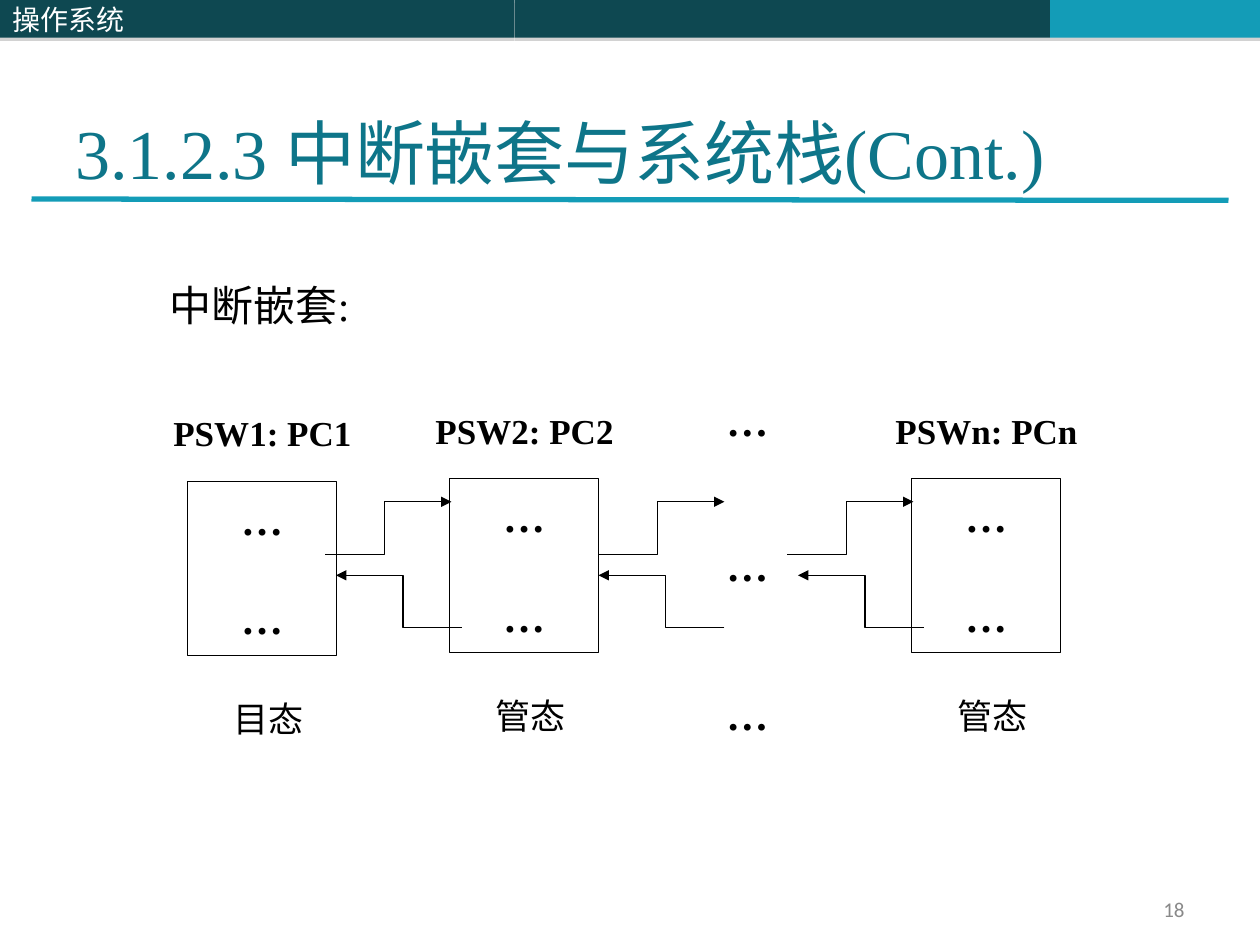
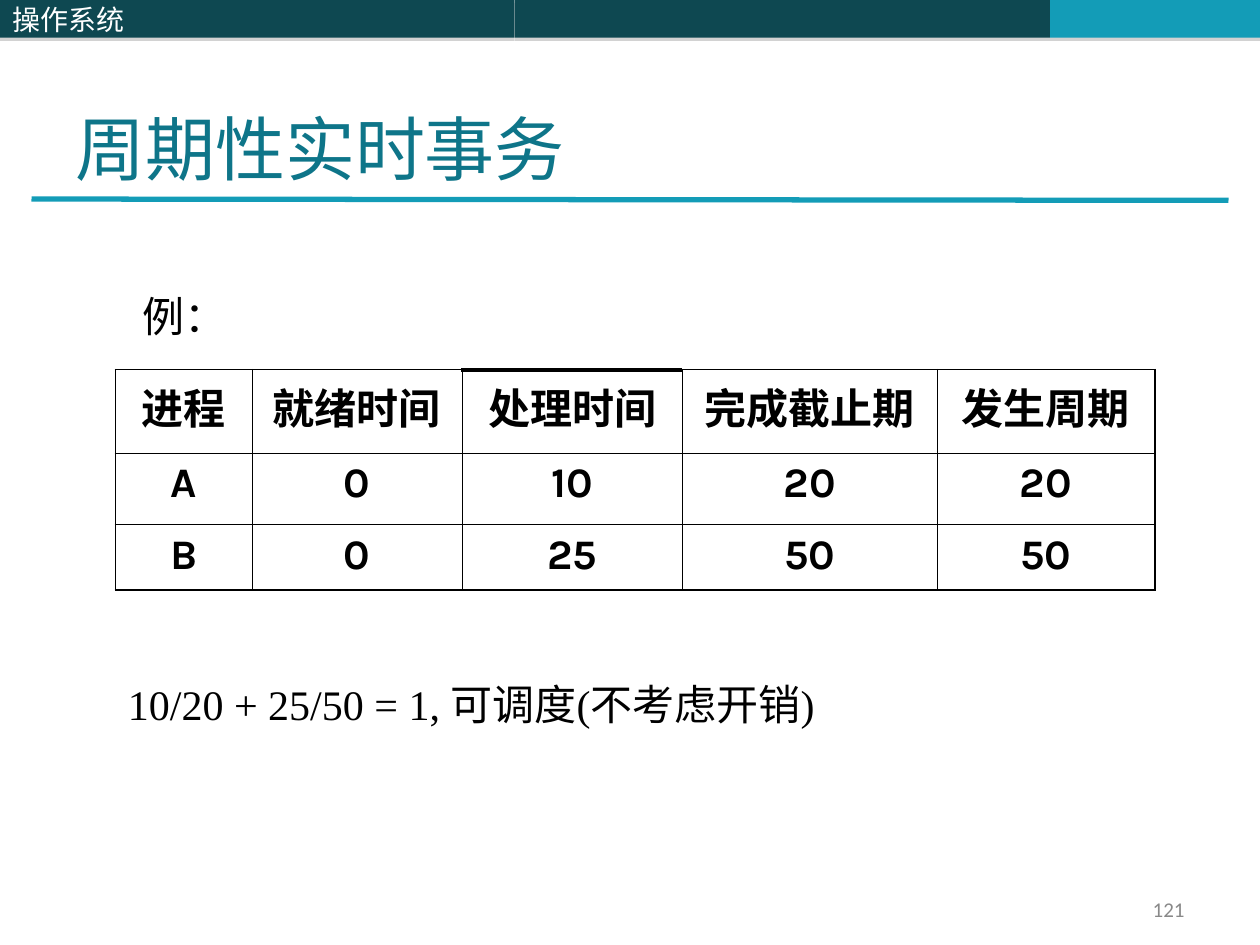
from dataclasses import dataclass

from lxml import etree
from pptx import Presentation
from pptx.dml.color import RGBColor
from pptx.enum import shapes, text
from pptx.oxml import ns
from pptx.util import Pt

LEFT, CENTER, RIGHT = text.PP_ALIGN.LEFT, text.PP_ALIGN.CENTER, text.PP_ALIGN.RIGHT
TOP, MIDDLE, BOTTOM = text.MSO_ANCHOR.TOP, text.MSO_ANCHOR.MIDDLE, text.MSO_ANCHOR.BOTTOM


@dataclass(frozen=True)
class Theme:
    dark: str = "0E4851"
    accent: str = "139CB7"
    heading: str = "0E7589"
    ink: str = "000000"
    paper: str = "FFFFFF"
    muted: str = "898989"
    shade: str = "808080"
    serif: str = "Times New Roman"
    sans: str = "Karla"
    footer_font: str = "Calibri"
    chinese: str = "Noto Sans CJK SC"
    title_size: int = 40
    body_size: int = 24
    label_size: int = 20
    band_size: int = 16
    footer_size: int = 12
    thin: float = 0.75
    grid: float = 0.45
    frame: float = 1.08


def points(*lengths):
    return [Pt(length) for length in lengths]


def add_xml(parent, tag, **attributes):
    return etree.SubElement(parent, ns.qn(tag), {key: str(value) for key, value in attributes.items()})


class SlideBuilder:
    def __init__(self, theme):
        self.theme = theme
        self.deck = Presentation()
        self.deck.slide_width, self.deck.slide_height = points(720, 540)
        self.page = None

    def new_page(self, title, number, title_area):
        theme = self.theme
        self.page = self.deck.slides.add_slide(self.deck.slide_layouts[6])
        self.band(294, 306, theme.dark)
        self.band(600, 120, theme.accent)
        self.line((18, 113.75), (702, 114.5), theme.accent, 3)
        course = self.band(0, 294, theme.dark)
        self.fill_text(course.text_frame, ["操作系统"], theme.band_size, theme.chinese, theme.paper, anchor=MIDDLE)
        self.label(number, (516, 510, 168, 19.5), theme.footer_size, font=theme.footer_font,
                   color=theme.muted, align=RIGHT, anchor=MIDDLE)
        self.label(title, title_area, theme.title_size, color=theme.heading, anchor=BOTTOM)

    def style(self, para, size, font=None, color=None, bold=False, align=LEFT):
        """Format a paragraph; Chinese text also gets its East Asian font."""
        para.alignment = align
        para.font.size, para.font.bold = Pt(size), bold
        para.font.name = font or self.theme.serif
        para.font.color.rgb = RGBColor.from_string(color or self.theme.ink)
        if max(para.text) > "…":
            for span in para.runs:
                add_xml(span.font._element, "a:ea", typeface=self.theme.chinese)

    def fill_text(self, frame, lines, size, font=None, color=None, bold=False,
                  align=LEFT, anchor=TOP, gap=0, wrap=True):
        frame.word_wrap, frame.vertical_anchor = wrap, anchor
        for index, line in enumerate(lines):
            para = frame.add_paragraph() if index else frame.paragraphs[0]
            para.text = line
            if index:
                para.space_before = Pt(gap)
            self.style(para, size, font, color, bold, align)

    def label(self, words, area, size, **options):
        box = self.page.shapes.add_textbox(*points(*area))
        self.fill_text(box.text_frame, [words], size, **options)

    def rectangle(self, area, fill, outline=None):
        box = self.page.shapes.add_shape(shapes.MSO_SHAPE.RECTANGLE, *points(*area))
        box.shadow.inherit = False
        box.fill.solid()
        box.fill.fore_color.rgb = RGBColor.from_string(fill)
        if outline:
            self.stroke(box.line, outline, self.theme.thin)
        else:
            box.line.fill.background()
        return box

    def band(self, left, width, fill):
        """Part of the top bar, with a faint shadow below it."""
        box = self.rectangle((left, 0, width, 21.6), fill)
        effects = box._element.spPr.find(ns.qn("a:effectLst"))
        shadow = add_xml(effects, "a:outerShdw", dist=Pt(1.8), dir=90 * 60000, rotWithShape=0)
        tint = add_xml(shadow, "a:srgbClr", val=self.theme.shade)
        add_xml(tint, "a:alpha", val=35000)
        return box

    def stroke(self, line, color, width):
        line.color.rgb = RGBColor.from_string(color)
        line.width = Pt(width)

    def line(self, start, end, color, width):
        connector = self.page.shapes.add_connector(shapes.MSO_CONNECTOR.STRAIGHT, *points(*start, *end))
        self.stroke(connector.line, color, width)
        add_xml(connector._element.spPr, "a:effectLst")

    def step_arrow(self, x, y, direction):
        """Stepped arrow that rises 30 points; direction is 1 for right, -1 for left."""
        corner, tip = x + 33.6 * direction, x + 72 * direction
        outline = self.page.shapes.build_freeform(*points(x, y), scale=1.0)
        outline.add_line_segments([points(corner, y), points(corner, y - 30), points(tip, y - 30)], close=False)
        arrow = outline.convert_to_shape()
        arrow.shadow.inherit = False
        arrow.fill.background()
        self.stroke(arrow.line, self.theme.ink, self.theme.thin)
        add_xml(arrow.line._ln, "a:tailEnd", type="triangle")

    def table(self, left, top, widths, heights, rows):
        table = self.page.shapes.add_table(
            len(rows), len(widths), *points(left, top, sum(widths), sum(heights))).table
        table.first_row = table.horz_banding = False
        for column, width in zip(table.columns, widths):
            column.width = Pt(width)
        for row, height in zip(table.rows, heights):
            row.height = Pt(height)
        for r, row in enumerate(rows):
            for c, value in enumerate(row):
                cell = table.cell(r, c)
                self.fill_text(cell.text_frame, [value], self.theme.body_size,
                               self.theme.sans, bold=True, align=CENTER)
                outer = {"L": c == 0, "R": c == len(row) - 1, "T": r == 0, "B": r == len(rows) - 1}
                self.cell_borders(cell, outer)
                cell.fill.background()

    def cell_borders(self, cell, outer):
        properties = cell._tc.get_or_add_tcPr()
        for side, is_outer in outer.items():
            width = self.theme.frame if is_outer else self.theme.grid
            edge = add_xml(properties, f"a:ln{side}", w=Pt(width))
            add_xml(add_xml(edge, "a:solidFill"), "a:srgbClr", val=self.theme.ink)


def interrupt_nesting(builder):
    theme = builder.theme
    builder.new_page("3.1.2.3 中断嵌套与系统栈(Cont.)", "18", (36, 42, 631.5, 72))
    programs = [
        (107.25, 275, "PSW1: PC1", "目态"),
        (257, 273.5, "PSW2: PC2", "管态"),
        (521, 273.5, "PSWn: PCn", "管态"),
    ]
    for left, top, status, mode in programs:
        box = builder.rectangle((left, top, 85, 99.5), theme.paper, theme.ink)
        builder.fill_text(box.text_frame, ["…", "…"], theme.body_size, bold=True,
                          align=CENTER, anchor=MIDDLE, gap=28, wrap=False)
        builder.label(mode, (left + 13, top + 120, 66, 31.5), theme.label_size, align=CENTER)
        builder.label(status, (left - 17.25, top - 43.25, 120, 31.5), theme.label_size, bold=True, align=CENTER)
    for call_x, return_x in [(186, 264), (342, 414), (450, 528)]:
        builder.step_arrow(call_x, 316.75, 1)
        builder.step_arrow(return_x, 358.75, -1)
    for top in (222, 304.5, 390):
        builder.label("…", (408, top, 48, 36), theme.body_size, bold=True)
    builder.label("中断嵌套:", (90, 156, 426, 36), theme.body_size)


def periodic_tasks(builder):
    theme = builder.theme
    builder.new_page("周期性实时事务", "121", (36, 21.6, 648, 90))
    widths = [78, 120, 126, 145.5, 124.5]
    left, top = 66, 211.25
    builder.table(left, top, widths, [47.75, 40.75, 37.5], [
        ["进程", "就绪时间", "处理时间", "完成截止期", "发生周期"],
        ["A", "0", "10", "20", "20"],
        ["B", "0", "25", "50", "50"],
    ])
    builder.label("10/20 + 25/50 = 1, 可调度(不考虑开销)", (left, 384, 450, 36), theme.body_size)
    mark_start = left + sum(widths[:2]) - 0.5
    builder.line((mark_start, 211.5), (mark_start + widths[2], 211.5), theme.ink, 2.25)
    builder.label("例：", (62.5, 162.75, 62, 36), theme.body_size, font=theme.sans, align=CENTER, wrap=False)


def main():
    builder = SlideBuilder(Theme())
    interrupt_nesting(builder)
    periodic_tasks(builder)
    builder.deck.save("out.pptx")


if __name__ == "__main__":
    main()
